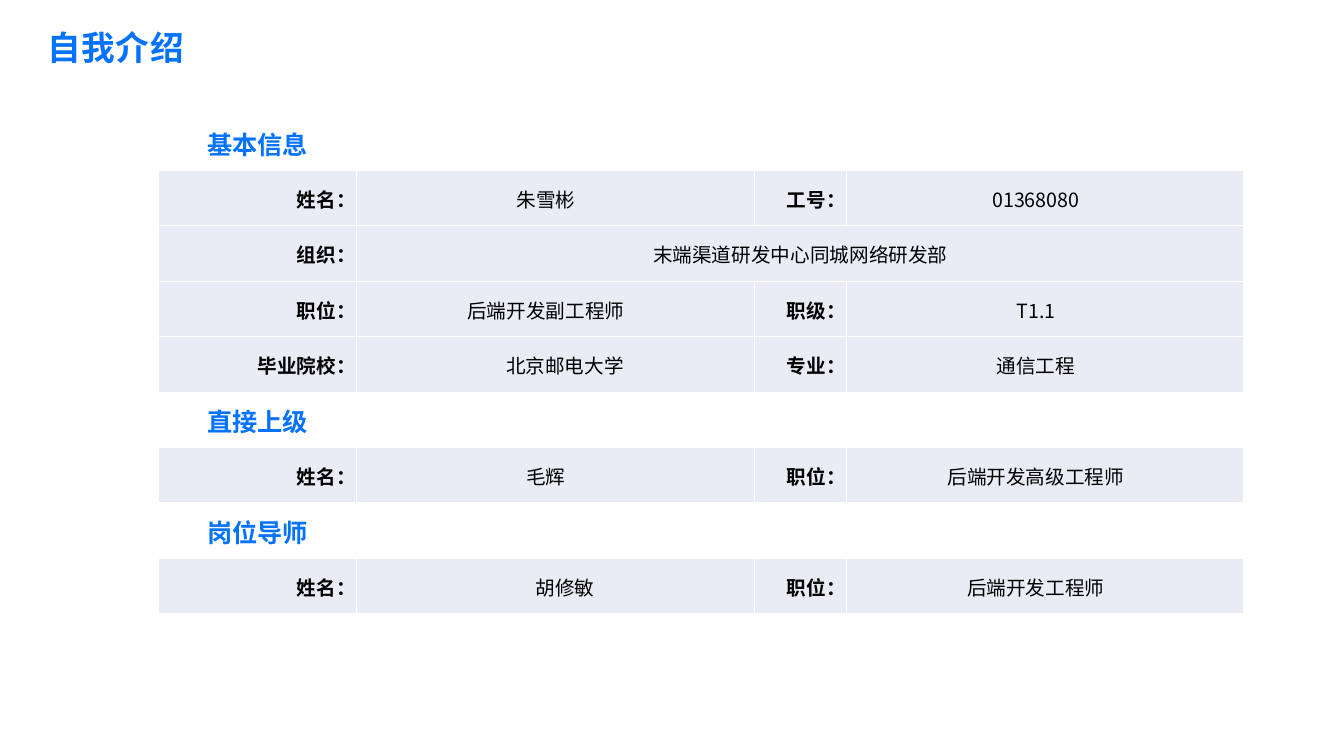
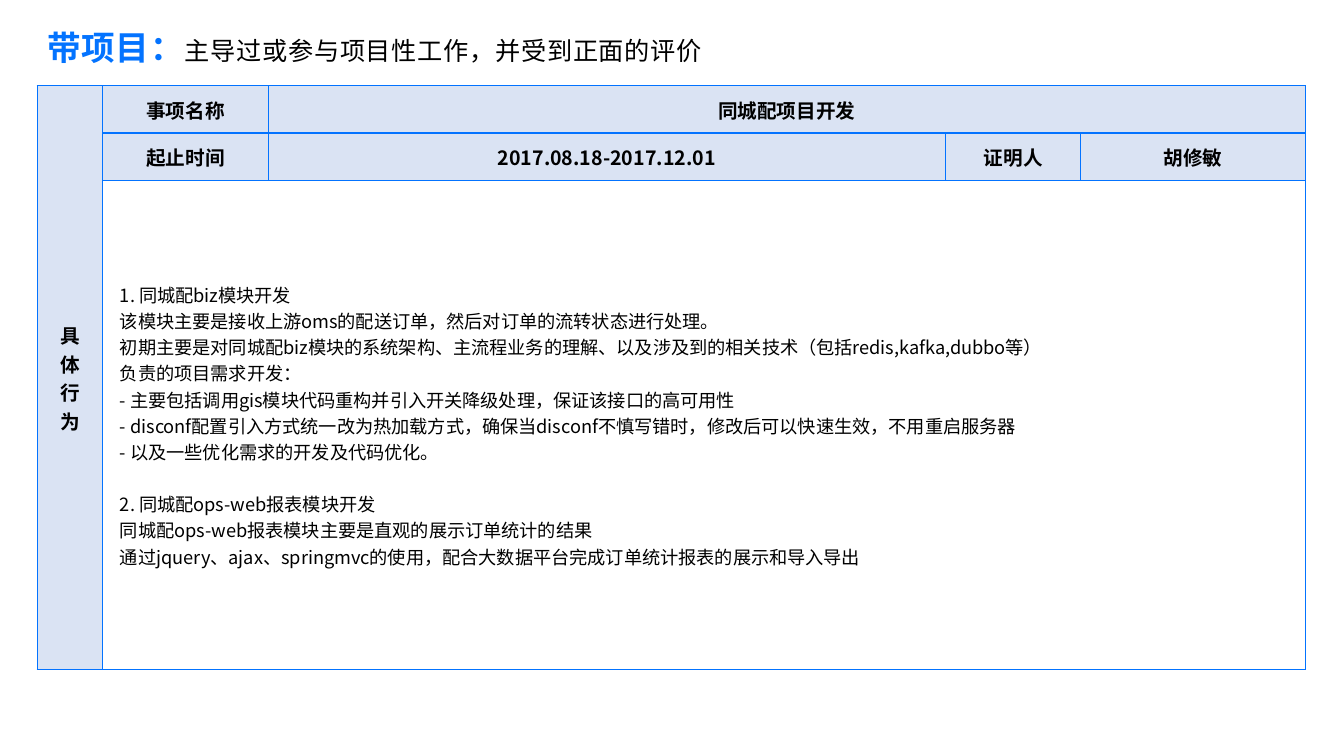
from lxml import etree
from pptx import Presentation
from pptx.dml.color import RGBColor
from pptx.enum import text
from pptx.oxml import ns
from pptx.util import Inches, Pt

FONT = "Noto Sans CJK SC"
BLUE, BLACK, WHITE = "0373FF", "000000", "FFFFFF"
PALE_GREY, PALE_BLUE = "E9EBF5", "DAE3F3"
LEFT, CENTER, RIGHT = text.PP_ALIGN.LEFT, text.PP_ALIGN.CENTER, text.PP_ALIGN.RIGHT

TITLE = {"size": Pt(24), "bold": True}
SUBTITLE = {"size": Pt(18), "bold": False}
HEADING = {"size": Pt(18), "bold": True}
LABEL = {"size": Pt(14), "bold": True}
VALUE = {"size": Pt(14), "bold": False}
BODY = {"size": Pt(13), "bold": False}

TITLE_ONLY = 5
INSET = 0.01
SHIFT = 0.2

# Each section: heading, then rows of (label, value, shift of the value) groups.
SECTIONS = [
    ("基本信息", [
        [("姓名：", "朱雪彬", "left"), ("工号：", "01368080", "left")],
        [("组织：", "末端渠道研发中心同城网络研发部", None)],
        [("职位：", "后端开发副工程师", "left"), ("职级：", "T1.1", "left")],
        [("毕业院校：", "北京邮电大学", "right"), ("专业：", "通信工程", "left")],
    ]),
    ("直接上级", [
        [("姓名：", "毛辉", "left"), ("职位：", "后端开发高级工程师", "left")],
    ]),
    ("岗位导师", [
        [("姓名：", "胡修敏", "right"), ("职位：", "后端开发工程师", "left")],
    ]),
]

# Each project is a group of lines; groups are set apart by paragraph spacing.
PROJECTS = [
    [
        "1. 同城配biz模块开发",
        "该模块主要是接收上游oms的配送订单，然后对订单的流转状态进行处理。",
        "初期主要是对同城配biz模块的系统架构、主流程业务的理解、以及涉及到的相关技术（包括redis,kafka,dubbo等）",
        "负责的项目需求开发：",
        "- 主要包括调用gis模块代码重构并引入开关降级处理，保证该接口的高可用性",
        "- disconf配置引入方式统一改为热加载方式，确保当disconf不慎写错时，修改后可以快速生效，不用重启服务器",
        "- 以及一些优化需求的开发及代码优化。",
    ],
    [
        "2. 同城配ops-web报表模块开发",
        "同城配ops-web报表模块主要是直观的展示订单统计的结果",
        "通过jquery、ajax、springmvc的使用，配合大数据平台完成订单统计报表的展示和导入导出",
    ],
]


def color(value):
    return RGBColor.from_string(value)


def add_span(para, words, style, ink=BLACK, spacing=None):
    span = para.add_run()
    span.text = words
    for name, value in style.items():
        setattr(span.font, name, value)
    span.font.name = FONT
    span.font.color.rgb = color(ink)
    properties = span._r.get_or_add_rPr()
    etree.SubElement(properties, ns.qn("a:ea"), typeface=FONT)
    if spacing:
        properties.set("spc", str(spacing))


def add_page(deck, width, *spans):
    """Add a page whose title is made of (words, style, ink) spans."""
    page = deck.slides.add_slide(deck.slide_layouts[TITLE_ONLY])
    title = page.shapes.title
    title.left, title.top = Inches(0.37), Inches(0.22)
    title.width, title.height = Inches(width), Inches(0.5)
    frame = title.text_frame
    frame.auto_size = text.MSO_AUTO_SIZE.NONE
    frame.vertical_anchor = text.MSO_ANCHOR.MIDDLE
    para = frame.paragraphs[0]
    para.alignment = LEFT
    for words, style, ink in spans:
        add_span(para, words, style, ink, spacing=50)
    return page


def set_borders(cell, ink):
    properties = cell._tc.get_or_add_tcPr()
    for index, side in enumerate(("lnL", "lnR", "lnT", "lnB")):
        line = etree.Element(ns.qn(f"a:{side}"), w=str(Pt(1)))
        fill = etree.SubElement(line, ns.qn("a:solidFill"))
        etree.SubElement(fill, ns.qn("a:srgbClr"), val=ink)
        properties.insert(index, line)


def add_grid(page, left, top, widths, heights, border):
    """Add a table with plain, unfilled cells and one border colour."""
    frame = page.shapes.add_table(
        len(heights), len(widths), Inches(left), Inches(top),
        Inches(sum(widths)), Inches(sum(heights)))
    table = frame.table
    table.first_row = table.horz_banding = False
    for column, width in zip(table.columns, widths):
        column.width = Inches(width)
    for row, height in zip(table.rows, heights):
        row.height = Inches(height)
    for cell in table.iter_cells():
        cell.fill.background()
        set_borders(cell, border)
        cell.vertical_anchor = text.MSO_ANCHOR.MIDDLE
        cell.margin_left = cell.margin_right = cell.margin_top = Inches(INSET)
        cell.margin_bottom = 0
    return table


def write_cell(cell, lines, style, ink=BLACK, align=CENTER, fill=None):
    """Write each line as a paragraph and return the paragraphs."""
    if fill:
        cell.fill.solid()
        cell.fill.fore_color.rgb = color(fill)
    frame = cell.text_frame
    for index, line in enumerate(lines):
        para = frame.add_paragraph() if index else frame.paragraphs[0]
        para.alignment = align
        add_span(para, line, style, ink)
    return frame.paragraphs


def write_details(table, row, groups):
    last_column = len(table.columns) - 1
    for index, (label, value, shift) in enumerate(groups):
        label_cell, value_cell = table.cell(row, 2 * index), table.cell(row, 2 * index + 1)
        write_cell(label_cell, [label], LABEL, align=RIGHT, fill=PALE_GREY)
        if len(groups) == 1:
            value_cell.merge(table.cell(row, last_column))
        write_cell(value_cell, [value], VALUE, fill=PALE_GREY)
        if shift == "left":
            value_cell.margin_right = Inches(SHIFT)
        elif shift == "right":
            value_cell.margin_left = Inches(SHIFT)


def add_introduction(deck):
    page = add_page(deck, 6.31, ("自我介绍", TITLE, BLUE))
    row_count = sum(1 + len(rows) for _, rows in SECTIONS)
    table = add_grid(page, 1.57, 1.14, [1.97, 3.94, 0.92, 3.94], [0.55] * row_count, WHITE)
    row = 0
    for heading, details in SECTIONS:
        write_cell(table.cell(row, 0), [heading], HEADING, BLUE)
        for row, groups in enumerate(details, row + 1):
            write_details(table, row, groups)
        row += 1


def add_project(deck):
    page = add_page(deck, 12.57, ("带项目：", TITLE, BLUE),
                    ("主导过或参与项目性工作，并受到正面的评价", SUBTITLE, BLACK))
    table = add_grid(page, 0.37, 0.85, [0.65, 1.64, 6.72, 1.34, 2.23], [0.47, 0.47, 4.85], BLUE)
    table.cell(0, 0).merge(table.cell(2, 0))
    table.cell(0, 2).merge(table.cell(0, 4))
    table.cell(2, 1).merge(table.cell(2, 4))

    write_cell(table.cell(0, 0), "具体行为", LABEL, fill=PALE_BLUE)
    header_rows = [
        ["事项名称", "同城配项目开发"],
        ["起止时间", "2017.08.18-2017.12.01", "证明人", "胡修敏"],
    ]
    for row, words in enumerate(header_rows):
        for column, word in enumerate(words, 1):
            write_cell(table.cell(row, column), [word], LABEL, fill=PALE_BLUE)

    body = table.cell(2, 1)
    body.margin_left = Inches(0.17)
    paragraphs = write_cell(body, sum(PROJECTS, []), BODY, align=LEFT)
    paragraphs[len(PROJECTS[0])].space_before = Pt(18.7)


def main():
    deck = Presentation()
    deck.slide_width, deck.slide_height = Inches(13.33), Inches(7.5)
    add_introduction(deck)
    add_project(deck)
    deck.save("out.pptx")


if __name__ == "__main__":
    main()
